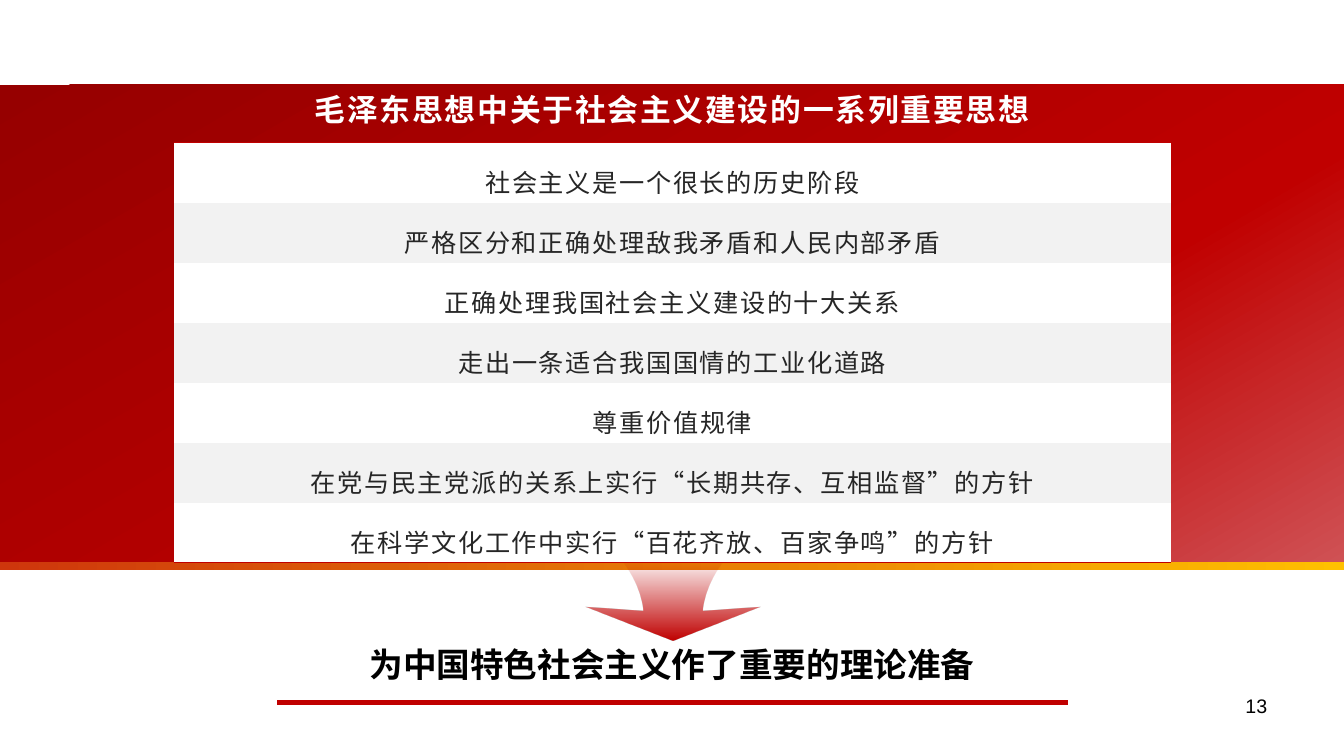
import pptx
import pptx.util
import pptx.dml.color
import pptx.enum.dml
import pptx.enum.shapes
import pptx.enum.text
import pptx.oxml.ns
import lxml.etree

WIDE, HIGH = pptx.util.Inches(13.33), pptx.util.Inches(7.5)
SANS = "Noto Sans CJK SC"
RED = "C00000"
ALIGN = pptx.enum.text.PP_ALIGN
TITLE = "毛泽东思想中关于社会主义建设的一系列重要思想"
IDEAS = [
    "社会主义是一个很长的历史阶段",
    "严格区分和正确处理敌我矛盾和人民内部矛盾",
    "正确处理我国社会主义建设的十大关系",
    "走出一条适合我国国情的工业化道路",
    "尊重价值规律",
    "在党与民主党派的关系上实行“长期共存、互相监督”的方针",
    "在科学文化工作中实行“百花齐放、百家争鸣”的方针",
]
RESULT = "为中国特色社会主义作了重要的理论准备"


def area(left, top, width, height):
    """Turn percentages of the slide's size into lengths."""
    return [int(share * size / 100) for share, size in
            zip((left, top, width, height), (WIDE, HIGH) * 2)]


def color(code):
    return pptx.dml.color.RGBColor.from_string(code)


def child(parent, tag, **attrs):
    node = lxml.etree.SubElement(parent, pptx.oxml.ns.qn(tag))
    for key, value in attrs.items():
        node.set(key, str(value))
    return node


def shade(shape, stops, angle):
    """Fill with (position, colour, opacity) stops, without line or shadow."""
    shape.shadow.inherit = False
    shape.line.fill.background()
    shape.fill.gradient()
    shape.fill.gradient_angle = angle
    row = shape._element.spPr.find(".//" + pptx.oxml.ns.qn("a:gsLst"))
    for stop in list(row):
        row.remove(stop)
    for place, code, alpha in stops:
        stop = child(row, "a:gs", pos=place * 1000)
        tint = child(stop, "a:srgbClr", val=code)
        if alpha < 100:
            child(tint, "a:alpha", val=alpha * 1000)


def write(frame, text, style, align=ALIGN.CENTER, face=SANS,
          ink="000000", gap=0, lead=None):
    par = frame.paragraphs[0]
    par.alignment = align
    if lead:
        par.line_spacing = lead
    run = par.add_run()
    run.text = text
    for key, value in style.items():
        setattr(run.font, key, value)
    run.font.color.rgb = color(ink)
    run.font.name = face
    props = run._r.get_or_add_rPr()
    child(props, "a:ea", typeface=face)
    if gap:
        props.set("spc", str(gap))


def label(slide, box, text, size, bold=True, grow=True, **look):
    frame = slide.shapes.add_textbox(*box).text_frame
    frame.word_wrap = True
    if grow:
        frame.auto_size = pptx.enum.text.MSO_AUTO_SIZE.SHAPE_TO_FIT_TEXT
    write(frame, text, {"size": pptx.util.Pt(size), "bold": bold}, **look)


def banner(slide, box):
    """Red band with a thin golden stripe along its foot."""
    left, top, width, height = box
    stripe = int(height * 0.02)
    bands = [
        (top + height - stripe // 9, stripe,
         [(0, "FFC000", 100), (100, "CE360C", 100)], 180),
        (top, height,
         [(0, "960000", 100), (67, RED, 100), (100, "CF5154", 100)], 300),
    ]
    for start, tall, stops, angle in bands:
        shape = slide.shapes.add_shape(
            pptx.enum.shapes.MSO_SHAPE.RECTANGLE, left, start, width, tall)
        shade(shape, stops, angle)


def curve(points, steps=16):
    """Points along a cubic curve."""
    for step in range(steps + 1):
        t = step / steps
        parts = ((1 - t) ** 3, 3 * t * (1 - t) ** 2,
                 3 * t ** 2 * (1 - t), t ** 3)
        yield tuple(sum(p * pt[axis] for p, pt in zip(parts, points))
                    for axis in (0, 1))


def arrow(slide, box):
    """Flared arrow, mirrored about its middle, fading upward."""
    left, top, width, height = box
    edge = curve([(0.67, 0.7), (0.67, 0.59), (0.74, 0.13), (0.96, 0)])
    half = [(1, 0.66), *edge]
    points = [(0.5, 1), *half, (0.5, 0.14),
              *[(1 - x, y) for x, y in reversed(half)]]
    spots = [(left + x * width, top + y * height) for x, y in points]
    form = slide.shapes.build_freeform(*spots[0])
    form.add_line_segments(spots[1:])
    shade(form.convert_to_shape(), [(0, RED, 100), (80, RED, 3)], 90)


def border(cell, tag):
    line = child(cell._tc.get_or_add_tcPr(), tag, w=12700)
    child(child(line, "a:solidFill"), "a:srgbClr", val=RED)


def ideas(slide, box):
    frame = slide.shapes.add_table(len(IDEAS), 1, *box)
    table = frame.table
    table.first_row = table.horz_banding = False
    style = table._tbl.tblPr.find(pptx.oxml.ns.qn("a:tableStyleId"))
    style.text = "{2D5ABB26-0587-4C30-8999-92F81FD0307C}"
    side = pptx.util.Inches(0.19)
    form = {"margin_left": side, "margin_right": side,
            "margin_top": pptx.util.Inches(0.12),
            "margin_bottom": pptx.util.Inches(0.03),
            "vertical_anchor": pptx.enum.text.MSO_ANCHOR.BOTTOM}
    for row, text in enumerate(IDEAS):
        cell = table.cell(row, 0)
        for key, value in form.items():
            setattr(cell, key, value)
        if row == 0:
            border(cell, "a:lnT")
        if row == len(IDEAS) - 1:
            border(cell, "a:lnB")
        cell.fill.solid()
        cell.fill.fore_color.rgb = color("F2F2F2" if row % 2 else "FFFFFF")
        write(cell.text_frame, text, {"size": pptx.util.Pt(18)},
              ink="262626", gap=120, lead=1.2)


def rule(slide, box):
    left, top, width, _ = box
    line = slide.shapes.add_connector(
        pptx.enum.shapes.MSO_CONNECTOR.STRAIGHT, left, top, left + width, top)
    line.line.color.rgb = color(RED)
    line.line.width = pptx.util.Pt(3)
    child(line._element.spPr, "a:effectLst")


def main():
    deck = pptx.Presentation()
    deck.slide_width, deck.slide_height = WIDE, HIGH
    slide = deck.slides.add_slide(deck.slide_layouts[6])
    banner(slide, area(0, 11.2, 100, 63.07))
    arrow(slide, area(43.59, 71.47, 12.97, 13.2))
    ideas(slide, area(12.94, 18.9, 74.19, 55.53))
    label(slide, area(21.75, 84.53, 56.5, 6.67), RESULT, 24)
    label(slide, area(21.77, 10.4, 56.5, 7.2), TITLE, 22,
          ink="FFFFFF", gap=130, lead=1.2)
    rule(slide, area(20.63, 92.93, 58.81, 0))
    label(slide, area(71.7, 91.07, 23.33, 6.93), "13", 14, bold=False,
          grow=False, align=ALIGN.RIGHT, face="Arial")
    deck.save("out.pptx")


if __name__ == "__main__":
    main()
